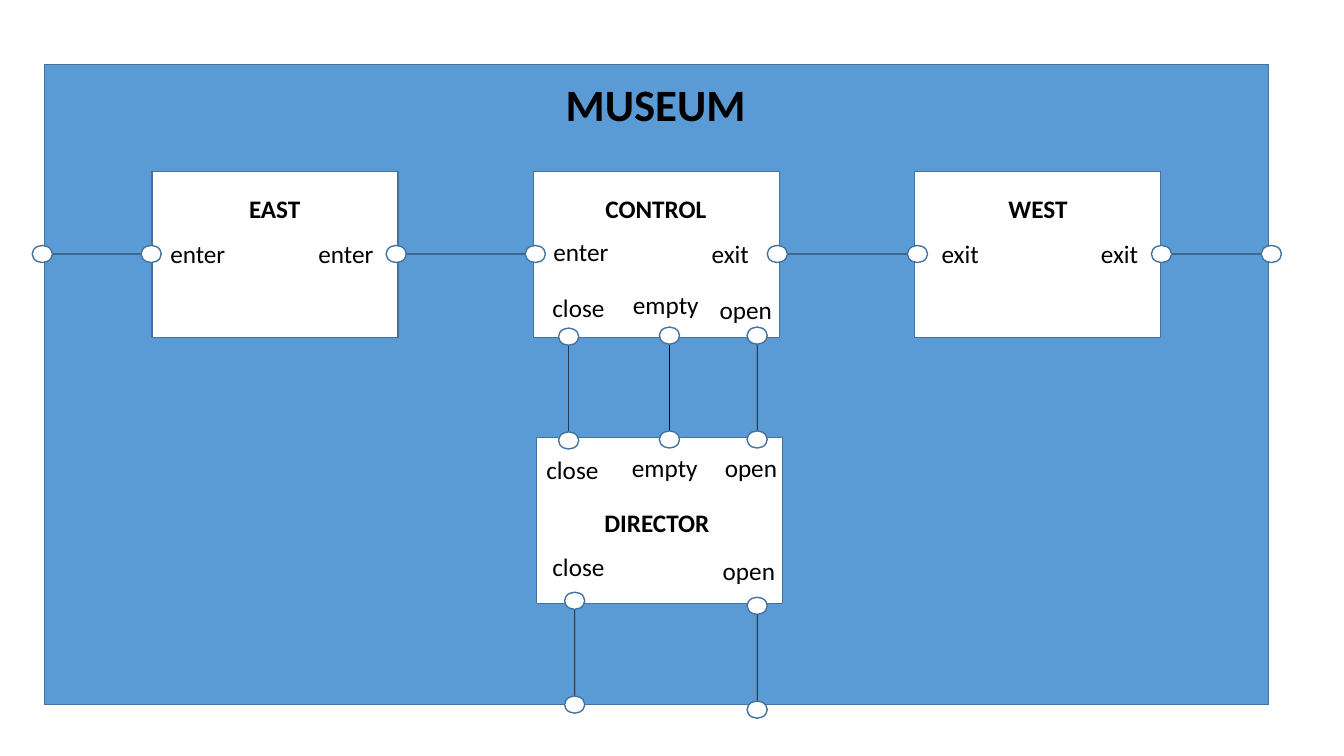
from lxml.etree import SubElement
from pptx import Presentation
from pptx.dml.color import RGBColor
from pptx.enum.shapes import MSO_CONNECTOR, MSO_SHAPE
from pptx.enum.text import MSO_ANCHOR, MSO_AUTO_SIZE, PP_ALIGN
from pptx.oxml.ns import qn
from pptx.util import Inches, Pt

BLUE, OUTLINE, WHITE, BLACK = "5B9BD5", "43739E", "FFFFFF", "000000"
BOX_WIDTH, BOX_HEIGHT = 2.44, 1.65
PORT_WIDTH, PORT_HEIGHT = 0.2, 0.17
LABEL_HEIGHT = 0.4
ROW_TOP = 1.7
GATE_Y = 2.52

# name, box left, box top, name left, name top
PROCESSES = [
    ("EAST", 1.51, ROW_TOP, 1.7, 1.87),
    ("WEST", 9.07, ROW_TOP, 9.27, 1.87),
    ("CONTROL", 5.29, ROW_TOP, 5.48, 1.87),
    ("DIRECTOR", 5.32, 4.34, 5.49, 4.98),
]
# centres of the left and right port on the gate row
GATE_CHANNELS = [(0.42, 1.5), (3.93, 5.31), (7.71, 9.1), (11.52, 12.61)]
# centre x, then centre y of the upper and lower port
DOOR_CHANNELS = [
    (5.64, 3.34, 4.37),
    (6.64, 3.33, 4.36),
    (7.51, 3.33, 4.36),
    (5.7, 5.96, 6.99),
    (7.51, 6.01, 7.04),
]
LABEL_WIDTHS = {"enter": 0.75, "exit": 0.58, "open": 0.73, "empty": 0.86, "close": 0.72}
ACTION_PLACES = {
    "enter": [(1.59, 2.32), (3.06, 2.32), (5.39, 2.3)],
    "exit": [(9.24, 2.32), (10.82, 2.32), (6.96, 2.32)],
    "open": [(7.04, 2.87), (7.09, 4.44), (7.07, 5.46)],
    "empty": [(6.18, 2.82), (6.17, 4.44)],
    "close": [(5.32, 4.46), (5.38, 2.85), (5.38, 5.42)],
}


def color(hex_string):
    """Turn a hex string into a colour."""
    return RGBColor.from_string(hex_string)


def apply(target, values):
    """Set each attribute in values on target."""
    for name, value in values.items():
        setattr(target, name, value)


def write(holder, text, size, bold=False, wrap=False, align=PP_ALIGN.LEFT):
    """Put one formatted line of text in a text box or placeholder."""
    frame = holder.text_frame
    frame.text = text
    apply(frame, {
        "word_wrap": wrap,
        "auto_size": MSO_AUTO_SIZE.SHAPE_TO_FIT_TEXT,
        "vertical_anchor": MSO_ANCHOR.TOP,
    })
    line = frame.paragraphs[0]
    apply(line, {"alignment": align, "line_spacing": 1.0, "space_before": Pt(0)})
    font = line.runs[0].font
    apply(font, {"name": "Calibri", "size": Pt(size), "bold": bold})
    font.color.rgb = color(BLACK)


def add_label(slide, text, left, top, width, **style):
    """Add an 18 point label."""
    label = slide.shapes.add_textbox(*map(Inches, (left, top, width, LABEL_HEIGHT)))
    write(label, text, 18, **style)


def add_outlined(slide, preset, left, top, width, height, fill=WHITE):
    """Add a filled shape with the common outline."""
    shape = slide.shapes.add_shape(preset, *map(Inches, (left, top, width, height)))
    shape.shadow.inherit = False
    shape.fill.solid()
    shape.fill.fore_color.rgb = color(fill)
    shape.line.color.rgb = color(OUTLINE)
    shape.line.width = Pt(1)
    return shape


def add_process(slide, name, left, top, name_left, name_top):
    """Add a process box with its bold name."""
    add_outlined(slide, MSO_SHAPE.RECTANGLE, left, top, BOX_WIDTH, BOX_HEIGHT)
    add_label(slide, name, name_left, name_top, 2.05,
              bold=True, wrap=True, align=PP_ALIGN.CENTER)


def add_wire(slide, start, end):
    """Add a thin, slightly transparent line."""
    wire = slide.shapes.add_connector(
        MSO_CONNECTOR.STRAIGHT, *map(Inches, (*start, *end)))
    wire.line.width = Pt(0.5)
    wire.line.color.rgb = color(BLACK)
    properties = wire.element.spPr
    tint = next(properties.iter(qn("a:srgbClr")))
    SubElement(tint, qn("a:alpha"), val="92000")
    SubElement(properties, qn("a:effectLst"))


def add_channel(slide, first, second):
    """Join two ports, given by their centres, with a wire."""
    add_wire(slide, second, first)
    for x, y in (first, second):
        add_outlined(slide, MSO_SHAPE.OVAL, x - PORT_WIDTH / 2, y - PORT_HEIGHT / 2,
                     PORT_WIDTH, PORT_HEIGHT)


def add_museum(slide):
    """Add the museum area and lay the slide title over it."""
    museum = add_outlined(slide, MSO_SHAPE.RECTANGLE, 0.44, 0.64, 12.14, 6.35, BLUE)
    title = slide.shapes.title
    apply(title, {"left": Inches(5.51), "top": Inches(0.71),
                  "width": Inches(2), "height": Inches(0.64)})
    write(title, "MUSEUM", 32, bold=True)
    museum.element.addnext(title.element)


def main():
    """Build and save the museum process diagram."""
    deck = Presentation()
    apply(deck, {"slide_width": Inches(13.33), "slide_height": Inches(7.5)})
    slide = deck.slides.add_slide(deck.slide_layouts.get_by_name("Title Only"))
    add_museum(slide)
    for process in PROCESSES:
        add_process(slide, *process)
    for left, right in GATE_CHANNELS:
        add_channel(slide, (left, GATE_Y), (right, GATE_Y))
    for x, upper, lower in DOOR_CHANNELS:
        add_channel(slide, (x, upper), (x, lower))
    for action, places in ACTION_PLACES.items():
        for left, top in places:
            add_label(slide, action, left, top, LABEL_WIDTHS[action])
    deck.save("out.pptx")


main()
